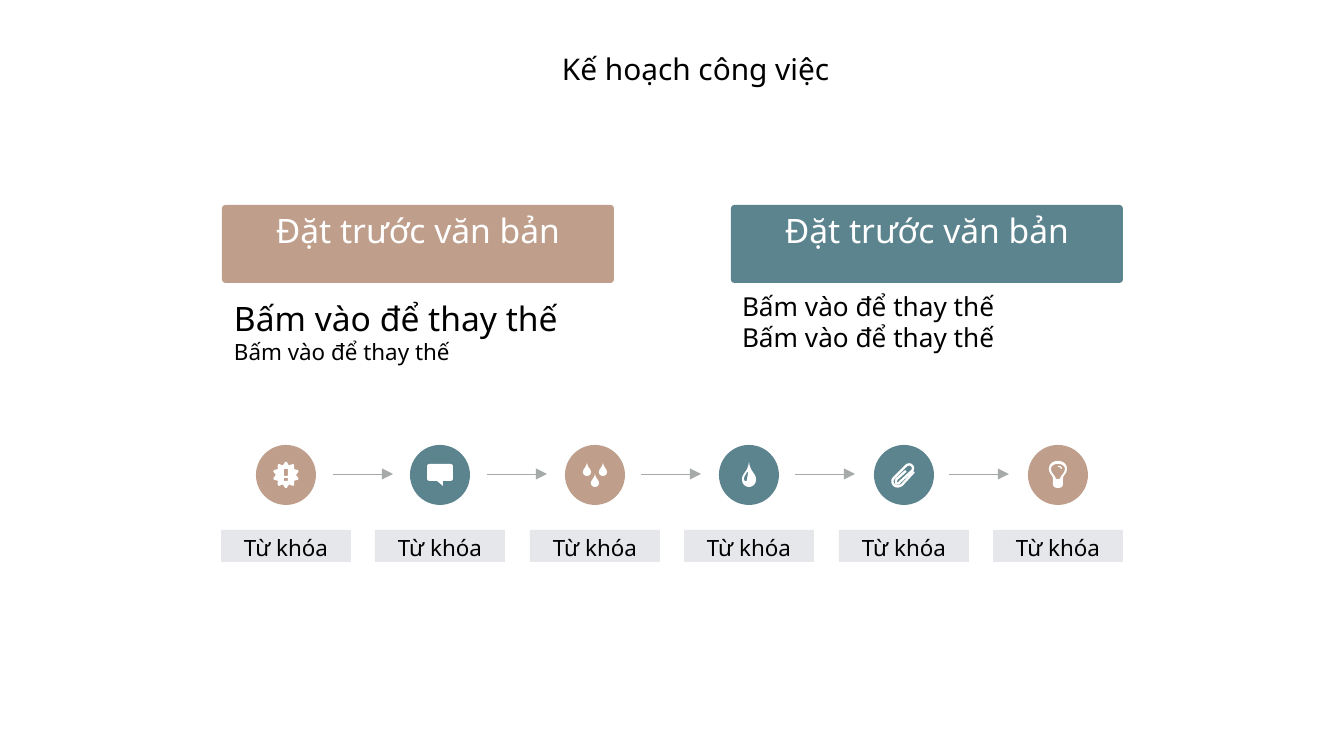
import math
from dataclasses import dataclass

from lxml import etree
from pptx import Presentation
from pptx import util as u
from pptx.dml.color import RGBColor
from pptx.enum import shapes, text
from pptx.oxml.ns import qn

PX = 9144000 / 1344
Point = tuple[float, float]
Contour = list[Point]


@dataclass(frozen=True)
class Theme:
    font: str = "Noto Sans"
    tan: str = "BF9F8B"
    teal: str = "5C848E"
    chip: str = "E6E7EA"
    arrow: str = "A6AAA9"
    white: str = "FFFFFF"
    black: str = "000000"
    title: int = 16
    header: int = 18
    medium: int = 14
    small: int = 12


@dataclass(frozen=True)
class Box:
    left: int
    top: int
    width: int
    height: int


@dataclass(frozen=True)
class Panel:
    header: Box
    color: str
    body: Box
    sizes: tuple[int, int]


@dataclass(frozen=True)
class Step:
    color: str
    icon: list[Contour]
    stroked: bool = False


T = Theme()


def px(n: float) -> u.Emu:
    return u.Emu(round(n * PX))


def rgb(value: str) -> RGBColor:
    return RGBColor.from_string(value)


def curve(start: Point, *parts: tuple[Point, ...]) -> Contour:
    pts = [start]
    for part in parts:
        if len(part) == 1:
            pts.append(part[0])
            continue
        ctrl = (pts[-1], *part)
        for k in range(1, 9):
            t = k / 8
            weights = [math.comb(3, i) * t**i * (1 - t) ** (3 - i) for i in range(4)]
            pts.append(tuple(sum(w * c[a] for w, c in zip(weights, ctrl)) for a in (0, 1)))
    return pts


def mirrored(half: Contour) -> Contour:
    return half + [(-x, y) for x, y in reversed(half)]


def rect(left: int, top: int, right: int, bottom: int) -> Contour:
    return [(left, top), (right, top), (right, bottom), (left, bottom)]


def drop(cx: int, top: int, half: int, height: int) -> Contour:
    shoulder = 0.7 * height
    side = curve((0, 0), ((1, 0.4 * height), (half, 0.45 * height), (half, shoulder)),
                 ((half, 0.88 * height), (0.55 * half, height), (0, height)))
    return [(cx + x, top + y) for x, y in mirrored(side)]


def badge(teeth: int, outer: int, inner: int) -> Contour:
    step = math.pi / teeth
    return [(r * math.sin((2 * k + d) * step), -r * math.cos((2 * k + d) * step))
            for k in range(teeth) for r, d in ((outer, -0.2), (outer, 0.2), (inner, 1))]


BADGE = [badge(10, 13, 10), rect(-2, -6, 2, 1), rect(-2, 3, 2, 6)]
BUBBLE = [curve((-10, -11), ((10, -11),), ((12, -11), (13, -10), (13, -8)), ((13, 3),),
                ((13, 5), (12, 6), (10, 6)), ((3, 6),), ((3, 11),), ((-3, 6),), ((-10, 6),),
                ((-12, 6), (-13, 5), (-13, 3)), ((-13, -8),), ((-13, -10), (-12, -11), (-10, -11)))]
DROPS = [drop(-8, -12, 4, 13), drop(8, -12, 4, 13), drop(0, -1, 4, 13)]
DROP = [drop(0, -13, 7, 25),
        curve((-1, -3), ((-1, 1), (-2, 2), (-2, 5)), ((-2, 7), (-5, 7), (-5, 4)),
              ((-5, 1), (-3, 0), (-2, -3)))]
CLIP = [curve((10, -3), ((-2, 10),), ((-5, 12), (-8, 12), (-10, 10)),
              ((-12, 8), (-12, 5), (-10, 3)), ((2, -9),), ((4, -11), (7, -11), (8, -9)),
              ((10, -8), (9, -5), (8, -4)), ((-4, 7),), ((-5, 9), (-7, 9), (-8, 8)),
              ((-8, 7), (-8, 5), (-7, 4)), ((2, -4),))]
BULB = [mirrored(curve((0, -14), ((5, -14), (9, -11), (9, -6)), ((9, -1), (5, 0), (5, 4)),
                       ((5, 9),), ((5, 12), (3, 13), (0, 13)))),
        mirrored(curve((0, -11), ((4, -11), (7, -9), (7, -6)), ((7, -2), (3, 0), (2, 4)), ((0, 4),))),
        curve((0, -9), ((3, -9), (4, -8), (4, -6)), ((3, -6),), ((3, -7), (2, -8), (0, -8)))]

PANELS = [
    Panel(Box(222, 205, 392, 78), T.tan, Box(234, 298, 386, 73), (T.header, T.small)),
    Panel(Box(731, 205, 392, 78), T.teal, Box(742, 290, 422, 91), (T.medium, T.medium)),
]
STEPS = [Step(T.tan, BADGE), Step(T.teal, BUBBLE), Step(T.tan, DROPS),
         Step(T.teal, DROP), Step(T.teal, CLIP, True), Step(T.tan, BULB)]


def place(sp, box: Box) -> None:
    sp.left, sp.top, sp.width, sp.height = map(px, (box.left, box.top, box.width, box.height))


def write(tf, lines: list[str], sizes: tuple[int, ...], color: str, align, inset: int, wrap: bool) -> None:
    tf.text = "\n".join(lines)
    tf.word_wrap = wrap
    tf.auto_size = text.MSO_AUTO_SIZE.NONE
    tf.vertical_anchor = text.MSO_ANCHOR.TOP
    tf.margin_left = tf.margin_right = tf.margin_top = tf.margin_bottom = px(inset)
    for p, size in zip(tf.paragraphs, sizes):
        p.alignment = align
        p.space_before = u.Pt(0)
        for r in p.runs:
            r.font.name, r.font.size = T.font, u.Pt(size)
            r.font.color.rgb = rgb(color)


def add_block(s, kind, box: Box, color: str):
    sp = s.shapes.add_shape(kind, *map(px, (box.left, box.top, box.width, box.height)))
    sp.shadow.inherit = False
    sp.fill.solid()
    sp.fill.fore_color.rgb = rgb(color)
    sp.line.fill.background()
    return sp


def add_panel(s, panel: Panel, body) -> None:
    sp = add_block(s, shapes.MSO_SHAPE.ROUNDED_RECTANGLE, panel.header, panel.color)
    sp.adjustments[0] = 0.045
    write(sp.text_frame, ["Đặt trước văn bản"], (T.header,), T.white, text.PP_ALIGN.CENTER, 4, False)
    place(body, panel.body)
    write(body.text_frame, ["Bấm vào để thay thế"] * 2, panel.sizes, T.black, text.PP_ALIGN.LEFT, 0, True)
    for p in body.text_frame.paragraphs:
        pPr = p._p.get_or_add_pPr()
        pPr.set("marL", "0")
        pPr.set("indent", "0")
        etree.SubElement(pPr, qn("a:buNone"))


def add_icon(s, step: Step, cx: int, cy: int) -> None:
    outlines = [[(px(cx + x), px(cy + y)) for x, y in c] for c in step.icon]
    builder = s.shapes.build_freeform(*outlines[0][0], scale=1.0)
    for i, pts in enumerate(outlines):
        if i:
            builder.move_to(*pts[0])
        builder.add_line_segments(pts[1:], close=not step.stroked)
    sp = builder.convert_to_shape()
    sp.shadow.inherit = False
    if step.stroked:
        sp.fill.background()
        sp.line.color.rgb = rgb(T.white)
        sp.line.width = u.Pt(1.25)
    else:
        sp.fill.solid()
        sp.fill.fore_color.rgb = rgb(T.white)
        sp.line.fill.background()


def add_step(s, step: Step, left: int) -> None:
    add_block(s, shapes.MSO_SHAPE.OVAL, Box(left + 35, 445, 60, 60), step.color)
    add_icon(s, step, left + 65, 475)
    sp = add_block(s, shapes.MSO_SHAPE.RECTANGLE, Box(left, 530, 130, 32), T.chip)
    write(sp.text_frame, ["Từ khóa"], (T.small,), T.black, text.PP_ALIGN.CENTER, 4, False)


def add_arrow(s, left: int, y: int, length: int) -> None:
    c = s.shapes.add_connector(shapes.MSO_CONNECTOR.STRAIGHT, px(left), px(y), px(left + length), px(y))
    c.line.color.rgb = rgb(T.arrow)
    c.line.width = u.Pt(0.25)
    etree.SubElement(c.line._get_or_add_ln(), qn("a:tailEnd"), type="triangle")
    etree.SubElement(c._element.spPr, qn("a:effectLst"))


def main() -> None:
    prs = Presentation()
    prs.slide_width, prs.slide_height = px(1344), px(756)
    s = prs.slides.add_slide(prs.slide_layouts[3])
    title, *bodies = s.placeholders
    place(title, Box(562, 51, 270, 50))
    write(title.text_frame, ["Kế hoạch công việc"], (T.title,), T.black, text.PP_ALIGN.LEFT, 0, False)
    for panel, body in zip(PANELS, bodies):
        add_panel(s, panel, body)
    for i, step in enumerate(STEPS):
        add_step(s, step, round(221 + 154.4 * i))
    for i in range(len(STEPS) - 1):
        add_arrow(s, 333 + 154 * i, 474, 60)
    prs.save("out.pptx")


if __name__ == "__main__":
    main()
